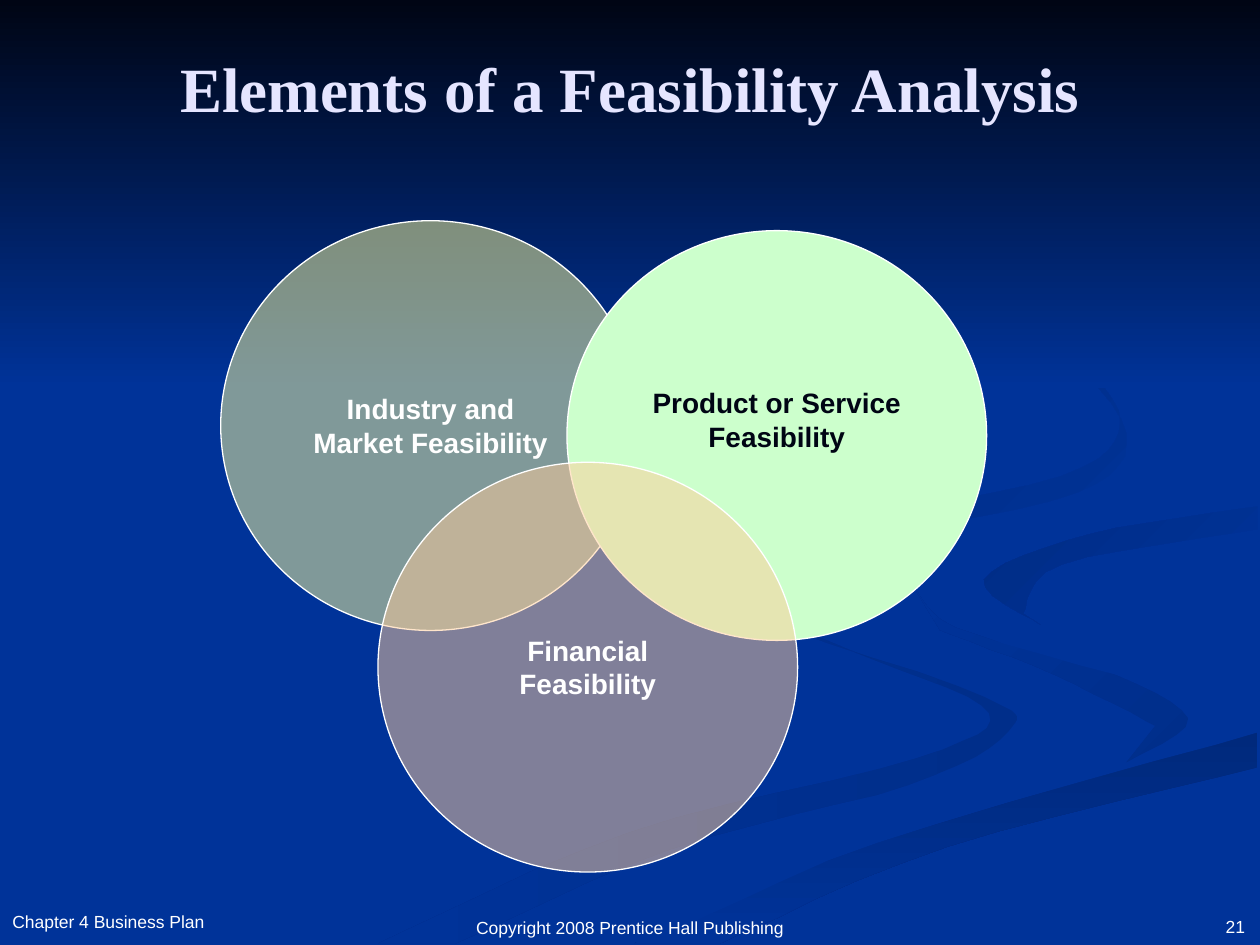
from dataclasses import dataclass

from lxml import etree
from pptx import Presentation
from pptx import util as u
from pptx.dml.color import RGBColor
from pptx.enum import shapes, text
from pptx.oxml.ns import qn

COLORS = {
    "background": "003399",
    "night": "000514",
    "title": "E5E5FF",
    "white": "FFFFFF",
    "yellow": "FFFF99",
    "green": "CCFFCC",
    "peach": "FFCC99",
    "shade_light": "002E8A",
    "shade_dark": "00297C",
    "shade_mid": "002C85",
    "shade_top": "002B81",
}
RIBBON_UNIT = u.Cm(2.54) / 100
CURVE_STEPS = 6
CIRCLE_WIDTH, CIRCLE_HEIGHT = 8.46, 8.26


@dataclass(frozen=True)
class Ribbon:
    start_color: str
    end_color: str
    angle: int
    edges: tuple


@dataclass(frozen=True)
class Circle:
    left: float
    top: float
    fill: str
    opacity: int
    font_color: str
    lines: tuple
    bottom_inset: float = 0.13


@dataclass(frozen=True)
class Label:
    left: float
    top: float
    width: float
    height: float
    words: str
    anchor: text.MSO_ANCHOR
    align: text.PP_ALIGN
    wrap: bool = True


RIBBONS = (
    Ribbon("shade_light", "background", 180, (
        ((575, 459), (602, 490), (781, 553), (800, 581), (721, 623), (532, 674), (361, 749)),
        ((300, 749), (499, 661), (727, 602), (785, 566), (697, 525), (572, 476)))),
    Ribbon("shade_light", "background", 225, (
        ((724, 464), (758, 498), (870, 530), (943, 570), (894, 605)),
        ((917, 576), (838, 536), (746, 500)))),
    Ribbon("shade_dark", "background", 90, (
        ((503, 749), (696, 669), (998, 581)),
        ((998, 609), (752, 672), (571, 749)))),
    Ribbon("background", "background", 0, (
        ((725, 464), (775, 503), (931, 553), (911, 600), (704, 655), (477, 749)),
        ((519, 747), (696, 669), (999, 581)),
        ((999, 538), (786, 473), (865, 424), (999, 402)),
        ((999, 387), (770, 427)))),
    Ribbon("background", "shade_mid", 225, (
        ((826, 496), (781, 460), (865, 424), (998, 402)),
        ((998, 420), (843, 448), (812, 487)))),
    Ribbon("background", "shade_top", 225, (
        ((762, 233), (846, 279), (889, 335), (842, 378), (649, 420), (577, 462), (622, 500)),
        ((593, 470), (683, 430), (855, 391), (894, 344), (843, 275)))),
)

CIRCLES = (
    Circle(4.45, 4.45, "yellow", 50, "white", ("Industry and", "Market Feasibility")),
    Circle(11.43, 4.65, "green", 100, "night", ("Product or Service", "Feasibility"), 0.78),
    Circle(7.62, 9.32, "peach", 50, "white", ("Financial", "Feasibility")),
)

LABELS = (
    Label(9.35, 18.36, 6.71, 0.69, "Copyright 2008 Prentice Hall Publishing",
          text.MSO_ANCHOR.TOP, text.PP_ALIGN.LEFT, False),
    Label(0, 17.6, 8.05, 1.32, "Chapter 4 Business Plan",
          text.MSO_ANCHOR.BOTTOM, text.PP_ALIGN.LEFT),
    Label(19.43, 17.7, 5.92, 1.32, "21", text.MSO_ANCHOR.BOTTOM, text.PP_ALIGN.RIGHT),
)


def color(name: str) -> RGBColor:
    return RGBColor.from_string(COLORS[name])


def fill_gradient(shape, start: str, end: str, angle: int) -> None:
    shape.shadow.inherit = False
    shape.line.fill.background()
    shape.fill.gradient()
    shape.fill.gradient_angle = (360 - angle) % 360
    for stop, name in zip(shape.fill.gradient_stops, (start, end)):
        stop.color.rgb = color(name)


def format_paragraph(paragraph, font_name: str, size: int, font_color: str,
                     bold: bool, align: text.PP_ALIGN) -> None:
    paragraph.alignment = align
    paragraph.font.name = font_name
    paragraph.font.size = u.Pt(size)
    paragraph.font.bold = bold
    paragraph.font.color.rgb = color(font_color)


def spline(before: int, start: int, end: int, after: int, t: float) -> float:
    return start + t / 2 * (end - before + t * (
        2 * before - 5 * start + 4 * end - after
        + t * (3 * (start - end) + after - before)))


def smooth_edge(edge: tuple) -> list:
    padded = (edge[0], *edge, edge[-1])
    curve = [
        tuple(spline(*values, step / CURVE_STEPS) for values in zip(*padded[i:i + 4]))
        for i in range(len(edge) - 1) for step in range(CURVE_STEPS)]
    return [*curve, edge[-1]]


def draw_ribbon(slide, ribbon: Ribbon) -> None:
    points = [point for edge in ribbon.edges for point in smooth_edge(edge)]
    builder = slide.shapes.build_freeform(*points[0], scale=RIBBON_UNIT)
    builder.add_line_segments(points[1:], close=True)
    shape = builder.convert_to_shape()
    fill_gradient(shape, ribbon.start_color, ribbon.end_color, ribbon.angle)


def draw_circle(slide, circle: Circle) -> None:
    shape = slide.shapes.add_shape(
        shapes.MSO_SHAPE.OVAL, u.Cm(circle.left), u.Cm(circle.top),
        u.Cm(CIRCLE_WIDTH), u.Cm(CIRCLE_HEIGHT))
    shape.shadow.inherit = False
    shape.fill.solid()
    shape.fill.fore_color.rgb = color(circle.fill)
    if circle.opacity < 100:
        fill_color = shape._element.spPr.find(qn("a:solidFill"))[0]
        etree.SubElement(fill_color, qn("a:alpha"), val=str(circle.opacity * 1000))
    shape.line.color.rgb = color("white")
    shape.line.width = u.Pt(0.75)
    frame = shape.text_frame
    frame.word_wrap = False
    frame.vertical_anchor = text.MSO_ANCHOR.MIDDLE
    frame.margin_bottom = u.Cm(circle.bottom_inset)
    frame.text = "\n".join(circle.lines)
    for paragraph in frame.paragraphs:
        format_paragraph(paragraph, "Arial", 16, circle.font_color, True,
                         text.PP_ALIGN.CENTER)


def draw_label(slide, label: Label) -> None:
    frame = slide.shapes.add_textbox(
        u.Cm(label.left), u.Cm(label.top), u.Cm(label.width), u.Cm(label.height)).text_frame
    frame.word_wrap = label.wrap
    frame.vertical_anchor = label.anchor
    frame.text = label.words
    format_paragraph(frame.paragraphs[0], "Arial", 10, "white", False, label.align)


def place_title(slide, words: str) -> None:
    title = slide.shapes.title
    title.left, title.top = u.Cm(1.27), u.Cm(0.76)
    title.width, title.height = u.Cm(22.86), u.Cm(1.98)
    frame = title.text_frame
    frame.auto_size = text.MSO_AUTO_SIZE.NONE
    frame.vertical_anchor = text.MSO_ANCHOR.MIDDLE
    frame.text = words
    format_paragraph(frame.paragraphs[0], "Times New Roman", 36, "title", True,
                     text.PP_ALIGN.CENTER)
    slide.shapes._spTree.append(title._element)


def main() -> None:
    presentation = Presentation()
    presentation.slide_width, presentation.slide_height = u.Cm(25.4), u.Cm(19.05)
    slide = presentation.slides.add_slide(presentation.slide_layouts[5])
    slide.background.fill.solid()
    slide.background.fill.fore_color.rgb = color("background")
    for ribbon in RIBBONS:
        draw_ribbon(slide, ribbon)
    sky = slide.shapes.add_shape(
        shapes.MSO_SHAPE.RECTANGLE, 0, 0, presentation.slide_width, u.Cm(7.82))
    fill_gradient(sky, "night", "background", 90)
    for circle in CIRCLES:
        draw_circle(slide, circle)
    place_title(slide, "Elements of a Feasibility Analysis")
    for label in LABELS:
        draw_label(slide, label)
    presentation.save("out.pptx")


if __name__ == "__main__":
    main()
